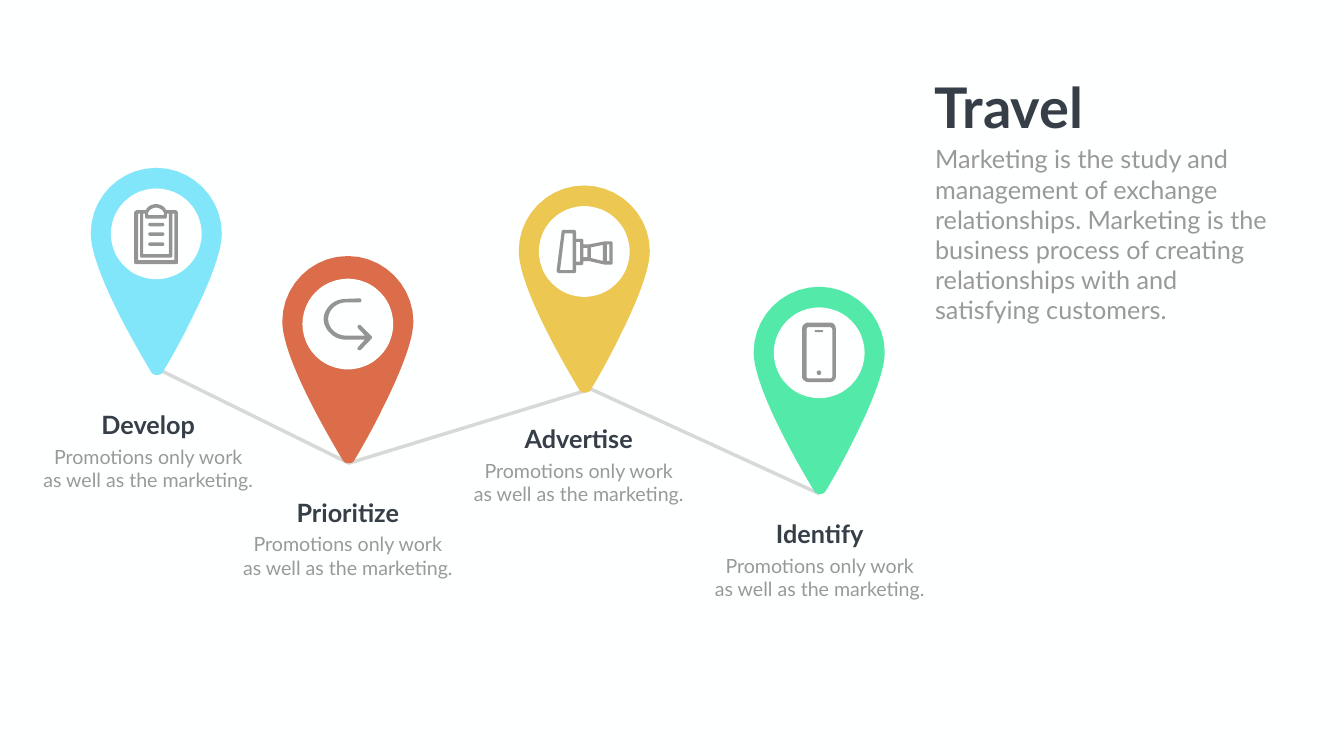
from lxml.etree import SubElement
from pptx import Presentation
from pptx.dml.color import RGBColor
from pptx.enum.shapes import MSO_SHAPE as Preset
from pptx.enum.text import MSO_AUTO_SIZE as AutoSize, PP_ALIGN as Align
from pptx.oxml.ns import qn
from pptx.util import Inches, Pt

PAPER = RGBColor(0xFE, 0xFF, 0xFF)
INK = RGBColor(0x36, 0x3E, 0x48)
GREY = RGBColor(0x99, 0x99, 0x99)
ICON_GREY = RGBColor(0x73, 0x73, 0x73)
ROUTE_GREY = RGBColor(0x80, 0x80, 0x80)
SKY = RGBColor(0x82, 0xE6, 0xFB)
RUST = RGBColor(0xDB, 0x6D, 0x4B)
GOLD = RGBColor(0xEC, 0xC7, 0x52)
MINT = RGBColor(0x53, 0xEA, 0xA9)

presentation = Presentation()
presentation.slide_width = Inches(26.66)
presentation.slide_height = Inches(15)
slide = presentation.slides.add_slide(presentation.slide_layouts[6])
slide.background.fill.solid()
slide.background.fill.fore_color.rgb = PAPER

# Square grid: fifteen rows to the slide's height
CELL = presentation.slide_height // 15
CURVE_STEPS = 10


def paint(shape, fill_format, color, opacity=100):
    """Give the shape one flat colour, on its fill or on its line."""
    shape.shadow.inherit = False
    fill_format.solid()
    fill_format.fore_color.rgb = color
    if opacity < 100:
        for tint in shape.element.xpath("./p:spPr//a:srgbClr"):
            SubElement(tint, qn("a:alpha")).set("val", str(opacity * 1000))


def draw_outline(center_x, center_y, contours, close=True):
    """Draw contours around a centre; two numbers make a line, six a cubic curve."""
    builder = None
    for contour in contours:
        points = [contour[0]]
        for step in contour[1:]:
            if len(step) == 2:
                points.append(step)
                continue
            x0, y0 = points[-1]
            x1, y1, x2, y2, x3, y3 = step
            for i in range(1, CURVE_STEPS + 1):
                t = i / CURVE_STEPS
                a, b, c, d = (1 - t) ** 3, 3 * t * (1 - t) ** 2, 3 * t * t * (1 - t), t ** 3
                points.append((a * x0 + b * x1 + c * x2 + d * x3,
                               a * y0 + b * y1 + c * y2 + d * y3))
        points = [(round((center_x + x) * CELL), round((center_y + y) * CELL)) for x, y in points]
        if builder is None:
            builder = slide.shapes.build_freeform(*points[0])
        else:
            builder.move_to(*points[0])
        builder.add_line_segments(points[1:], close=close)
    return builder.convert_to_shape()


# Outlines: the pin hangs from its top, icons sit around the disc's centre
PIN = [[(0.02, 4.11), (-0.04, 4.11, -0.08, 4.09, -0.1, 4.05),
        (-0.1, 4.05, -0.4, 3.56, -0.7, 2.98), (-1.1, 2.2, -1.3, 1.63, -1.3, 1.3),
        (-1.3, 0.59, -0.72, 0, 0, 0), (0.71, 0, 1.3, 0.59, 1.3, 1.3),
        (1.3, 1.63, 1.1, 2.2, 0.71, 2.98), (0.43, 3.56, 0.13, 4.05, 0.13, 4.05),
        (0.11, 4.09, 0.07, 4.11, 0.02, 4.11)]]
CLIPBOARD = [
    [(0.38, -0.47), (0.2, -0.47), (0.18, -0.5, 0.16, -0.53, 0.13, -0.55),
     (0.09, -0.57, 0.05, -0.59, 0, -0.59), (-0.06, -0.59, -0.1, -0.57, -0.14, -0.55),
     (-0.17, -0.53, -0.19, -0.5, -0.21, -0.47), (-0.38, -0.47),
     (-0.41, -0.47, -0.44, -0.44, -0.44, -0.4), (-0.44, 0.56),
     (-0.44, 0.58, -0.43, 0.6, -0.4, 0.6), (0.4, 0.6),
     (0.42, 0.6, 0.43, 0.58, 0.43, 0.56), (0.43, -0.4),
     (0.43, -0.44, 0.41, -0.47, 0.38, -0.47)],
    [(-0.16, -0.43), (-0.14, -0.45, -0.13, -0.48, -0.1, -0.49),
     (-0.07, -0.51, -0.04, -0.52, 0, -0.52), (0.03, -0.52, 0.06, -0.51, 0.09, -0.49),
     (0.12, -0.48, 0.13, -0.45, 0.15, -0.43), (0.15, -0.37), (-0.16, -0.37)],
    [(-0.26, -0.4), (-0.22, -0.4), (-0.22, -0.34), (-0.22, -0.32, -0.21, -0.3, -0.18, -0.3),
     (0.17, -0.3), (0.2, -0.3, 0.21, -0.32, 0.21, -0.34), (0.21, -0.4), (0.25, -0.4),
     (0.25, 0.4), (-0.26, 0.4)],
    [(0.36, 0.52), (-0.36, 0.52), (-0.36, -0.4), (-0.32, -0.4), (-0.32, 0.44),
     (-0.32, 0.46, -0.31, 0.47, -0.29, 0.47), (0.28, 0.47),
     (0.3, 0.47, 0.32, 0.46, 0.32, 0.44), (0.32, -0.4), (0.36, -0.4)]]
TURN_ARROW = [
    [(0.47, 0.24), (0.26, 0.03), (0.24, 0.01, 0.22, 0.01, 0.2, 0.03),
     (0.19, 0.04, 0.19, 0.07, 0.2, 0.08), (0.34, 0.23), (-0.03, 0.23),
     (-0.23, 0.23, -0.39, 0.08, -0.39, -0.1), (-0.39, -0.28, -0.23, -0.43, -0.03, -0.43),
     (0.23, -0.43), (0.25, -0.43, 0.27, -0.45, 0.27, -0.47),
     (0.27, -0.49, 0.25, -0.51, 0.23, -0.51), (-0.03, -0.5),
     (-0.15, -0.5, -0.26, -0.46, -0.34, -0.39), (-0.42, -0.31, -0.48, -0.21, -0.48, -0.1),
     (-0.48, 0.01, -0.42, 0.12, -0.34, 0.19), (-0.26, 0.27, -0.15, 0.31, -0.03, 0.31),
     (0.34, 0.31), (0.2, 0.46), (0.19, 0.47, 0.19, 0.5, 0.2, 0.51),
     (0.22, 0.52, 0.24, 0.52, 0.26, 0.51), (0.47, 0.29), (0.48, 0.28, 0.48, 0.25, 0.47, 0.24)]]
MEGAPHONE = [
    [(0.53, -0.2), (0.4, -0.2), (0.09, -0.14), (-0.02, -0.14), (-0.02, -0.21),
     (-0.02, -0.24, -0.03, -0.25, -0.06, -0.25), (-0.16, -0.25), (-0.16, -0.38),
     (-0.16, -0.4, -0.18, -0.43, -0.2, -0.43), (-0.42, -0.43),
     (-0.43, -0.43, -0.45, -0.41, -0.45, -0.39), (-0.55, 0.38),
     (-0.55, 0.4, -0.53, 0.43, -0.5, 0.43), (-0.2, 0.43),
     (-0.18, 0.43, -0.16, 0.41, -0.16, 0.39), (-0.16, 0.27), (-0.06, 0.27),
     (-0.03, 0.27, -0.02, 0.25, -0.02, 0.22), (-0.02, 0.19), (0.09, 0.19), (0.4, 0.26),
     (0.53, 0.26), (0.55, 0.26, 0.56, 0.25, 0.56, 0.23), (0.56, -0.17),
     (0.56, -0.19, 0.55, -0.2, 0.53, -0.2)],
    [(0.13, -0.08), (0.37, -0.13), (0.37, 0.19), (0.13, 0.13)],
    [(0.45, -0.14), (0.5, -0.14), (0.5, 0.19), (0.45, 0.19)],
    [(-0.48, 0.37), (-0.39, -0.36), (-0.23, -0.36), (-0.23, 0.37)],
    [(-0.08, 0.2), (-0.16, 0.2), (-0.16, -0.19), (-0.08, -0.19)],
    [(-0.02, -0.07), (0.06, -0.07), (0.06, 0.11), (-0.02, 0.11)]]
PHONE = [
    [(0.22, 0.58), (-0.21, 0.58), (-0.28, 0.58, -0.34, 0.53, -0.34, 0.47), (-0.34, -0.47),
     (-0.34, -0.55, -0.28, -0.6, -0.21, -0.6), (0.22, -0.6),
     (0.28, -0.6, 0.33, -0.55, 0.33, -0.47), (0.33, 0.47), (0.33, 0.53, 0.28, 0.58, 0.22, 0.58)],
    [(-0.21, -0.51), (-0.24, -0.51, -0.25, -0.48, -0.25, -0.46), (-0.25, 0.47),
     (-0.25, 0.49, -0.24, 0.51, -0.21, 0.51), (0.22, 0.51),
     (0.24, 0.51, 0.26, 0.49, 0.26, 0.47), (0.26, -0.46), (0.26, -0.48, 0.24, -0.51, 0.22, -0.51)]]
TEXT_LINES = [(-0.16, y, 0.32, 0.07) for y in (-0.22, -0.03, 0.17)]
PHONE_PARTS = [(-0.05, 0.35, 0.09, 0.09), (-0.09, -0.45, 0.17, 0.04)]

# Stops: name, colour, pin centre and top, disc centre, label centre and top, icon, small parts
STOPS = [
    ("Develop", SKY, 3.1, 3.33, 4.64, 2.94, 8.07, CLIPBOARD, TEXT_LINES),
    ("Prioritize", RUST, 6.9, 5.08, 6.43, 6.9, 9.81, TURN_ARROW, []),
    ("Advertise", GOLD, 11.59, 3.68, 4.99, 11.48, 8.35, MEGAPHONE, []),
    ("Identify", MINT, 16.25, 5.69, 7, 16.26, 10.24, PHONE, PHONE_PARTS),
]
DISC, LABEL_WIDTH, DETAIL_WIDTH = 1.8, 2.61, 4.94

# Route behind the pins
route = draw_outline(0, 0, [[(3.23, 7.37), (6.92, 9.19), (11.72, 7.72), (16.26, 9.8)]], close=False)
route.fill.background()
route.line.width = Pt(5)
paint(route, route.line.fill, ROUTE_GREY, 30)

# Text blocks: left, top, width, height, lines, size, colour, bold, alignment
texts = [
    (18.44, 1.38, 3.36, 1.45, ["Travel"], 80, INK, True, Align.LEFT),
    (18.45, 2.8, 6.86, 3.74,
     ["Marketing is the study and management of exchange relationships. Marketing is the "
      "business process of creating relationships with and satisfying customers."],
     36, GREY, False, Align.LEFT),
]

# Pins with disc and icon
for name, color, x, top, disc_y, label_x, label_top, icon, parts in STOPS:
    pin = draw_outline(x, top, PIN)
    disc = slide.shapes.add_shape(Preset.OVAL, round((x - DISC / 2) * CELL),
                                  round((disc_y - DISC / 2) * CELL),
                                  round(DISC * CELL), round(DISC * CELL))
    pieces = [(pin, color, 100), (disc, PAPER, 100), (draw_outline(x, disc_y, icon), ICON_GREY, 76)]
    for left, part_top, width, height in parts:
        part = slide.shapes.add_shape(Preset.ROUNDED_RECTANGLE, round((x + left) * CELL),
                                      round((disc_y + part_top) * CELL),
                                      round(width * CELL), round(height * CELL))
        part.adjustments[0] = 0.5
        pieces.append((part, ICON_GREY, 76))
    for shape, fill_color, opacity in pieces:
        shape.line.fill.background()
        paint(shape, shape.fill, fill_color, opacity)
    texts += [
        (label_x - LABEL_WIDTH / 2, label_top, LABEL_WIDTH, 0.71, [name], 36, INK, True, Align.CENTER),
        (label_x - DETAIL_WIDTH / 2, label_top + 0.7, DETAIL_WIDTH, 1.04,
         ["Promotions only work", "as well as the marketing."], 28, GREY, False, Align.CENTER),
    ]

# Heading, introduction and stop captions
for left, top, width, height, lines, size, color, bold, alignment in texts:
    box = slide.shapes.add_textbox(*(round(n * CELL) for n in (left, top, width, height)))
    frame = box.text_frame
    frame.word_wrap = True
    frame.auto_size = AutoSize.SHAPE_TO_FIT_TEXT
    for i, line in enumerate(lines):
        paragraph = frame.add_paragraph() if i else frame.paragraphs[0]
        paragraph.alignment = alignment
        run = paragraph.add_run()
        run.text = line
        run.font.name, run.font.size, run.font.bold = "Lato", Pt(size), bold
        run.font.color.rgb = color

presentation.save("out.pptx")
